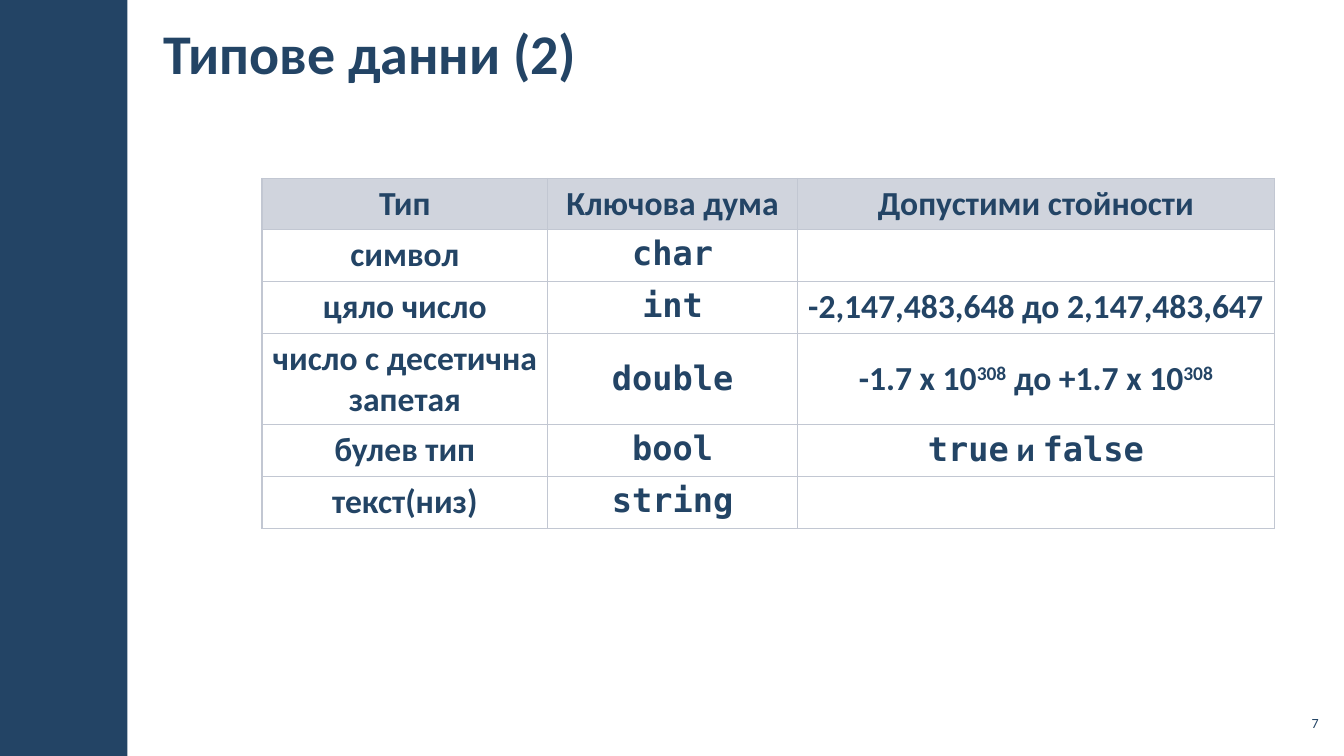
import pptx
import pptx.util
import pptx.dml.color
import pptx.enum.shapes
import pptx.enum.text
import pptx.oxml
import pptx.oxml.ns

Pt = pptx.util.Pt
Align = pptx.enum.text.PP_ALIGN
Anchor = pptx.enum.text.MSO_ANCHOR

COLORS = {"navy": "234465", "head": "A3ABBC", "edge": "C2C7D2"}
SANS, MONO = "Calibri", "DejaVu Sans Mono"

WIDTHS = [204, 178.5, 340.5]
HEIGHTS = [36.5, 37, 37.3, 64, 37.3, 37.3]
# A cell is a list of paragraphs; a paragraph is a list of (text, font, raised).
ROWS = [
    ["Тип", "Ключова дума", "Допустими стойности"],
    ["символ", "char", ""],
    ["цяло число", "int", "-2,147,483,648 до 2,147,483,647"],
    [
        [[("число с десетична", SANS, False)], [("запетая", SANS, False)]],
        "double",
        [[("-1.7 x 10", SANS, False), ("308", SANS, True),
          (" до +1.7 x 10", SANS, False), ("308", SANS, True)]],
    ],
    ["булев тип", "bool",
     [[("true", MONO, False), (" и ", SANS, False), ("false", MONO, False)]]],
    ["текст(низ)", "string", ""],
]
HEAD, TALL = 0, 3
KEY = 1


class Deck:
    def __init__(self):
        self.prs = pptx.Presentation()
        self.prs.slide_width, self.prs.slide_height = Pt(960), Pt(540)
        self.slide = self.prs.slides.add_slide(self.prs.slide_layouts[5])

    def color(self, name):
        return pptx.dml.color.RGBColor.from_string(COLORS[name])

    def style(self, font, size, bold=False, face=SANS):
        font.name, font.size, font.bold = face, Pt(size), bold
        font.color.rgb = self.color("navy")

    def frame(self, shape, text, size, bold, align, side):
        """Fill a text shape with one line, centred vertically."""
        frame = shape.text_frame
        frame.word_wrap = True
        frame.vertical_anchor = Anchor.MIDDLE
        frame.margin_left = frame.margin_right = Pt(side)
        frame.margin_top = frame.margin_bottom = Pt(3)
        frame.text = text
        line = frame.paragraphs[0]
        line.alignment = align
        self.style(line.font, size, bold)

    def bar(self, left, top, width, height):
        bar = self.slide.shapes.add_shape(
            pptx.enum.shapes.MSO_SHAPE.RECTANGLE,
            Pt(left), Pt(top), Pt(width), Pt(height))
        bar.shadow.inherit = False
        bar.fill.solid()
        bar.fill.fore_color.rgb = self.color("navy")
        bar.line.fill.background()

    def title(self, text, left, top, width, height):
        title = self.slide.shapes.title
        title.left, title.top = Pt(left), Pt(top)
        title.width, title.height = Pt(width), Pt(height)
        self.frame(title, text, 40, True, Align.LEFT, 9)

    def number(self, text, left, top, width, height):
        box = self.slide.shapes.add_textbox(
            Pt(left), Pt(top), Pt(width), Pt(height))
        self.frame(box, text, 10, False, Align.RIGHT, 3)

    def border(self, cell):
        props = cell._tc.get_or_add_tcPr()
        for side in "LRTB":
            props.append(pptx.oxml.parse_xml(
                f'<a:ln{side} {pptx.oxml.ns.nsdecls("a")} w="12700"><a:solidFill>'
                f'<a:srgbClr val="{COLORS["edge"]}"/></a:solidFill></a:ln{side}>'))

    def shade(self, cell):
        """Give a heading cell its half transparent fill."""
        cell.fill.solid()
        cell.fill.fore_color.rgb = self.color("head")
        tone = cell._tc.tcPr.find(pptx.oxml.ns.qn("a:solidFill"))[0]
        tone.append(pptx.oxml.parse_xml(
            f'<a:alpha {pptx.oxml.ns.nsdecls("a")} val="50000"/>'))

    def label(self, cell, lines):
        frame = cell.text_frame
        for i, runs in enumerate(lines):
            line = frame.add_paragraph() if i else frame.paragraphs[0]
            line.alignment = Align.CENTER
            base = runs[0][1]
            self.style(line.font, 24, True, base)
            for text, face, raised in runs:
                run = line.add_run()
                run.text = text
                if face != base:
                    run.font.name = face
                if raised:
                    run._r.get_or_add_rPr().set("baseline", "30000")

    def table(self, rows, left, top):
        table = self.slide.shapes.add_table(
            len(rows), len(WIDTHS), Pt(left), Pt(top),
            Pt(sum(WIDTHS)), Pt(sum(HEIGHTS))).table
        table.first_row = table.horz_banding = False
        for col, width in zip(table.columns, WIDTHS):
            col.width = Pt(width)
        for r, row in enumerate(rows):
            table.rows[r].height = Pt(HEIGHTS[r])
            for c, lines in enumerate(row):
                cell = table.cell(r, c)
                self.border(cell)
                if r == HEAD:
                    self.shade(cell)
                else:
                    cell.fill.background()
                if r in (HEAD, TALL):
                    cell.vertical_anchor = Anchor.MIDDLE
                if isinstance(lines, str):
                    face = MONO if c == KEY and r != HEAD else SANS
                    lines = [[(lines, face, False)]] if lines else []
                self.label(cell, lines)


def main():
    deck = Deck()
    deck.bar(0, 0, 91, 540)
    deck.title("Типове данни (2)", 108, 2, 661, 70)
    deck.number("7", 911, 504, 34, 24.5)
    deck.table(ROWS, 187.2, 127.5)
    deck.prs.save("out.pptx")


if __name__ == "__main__":
    main()
